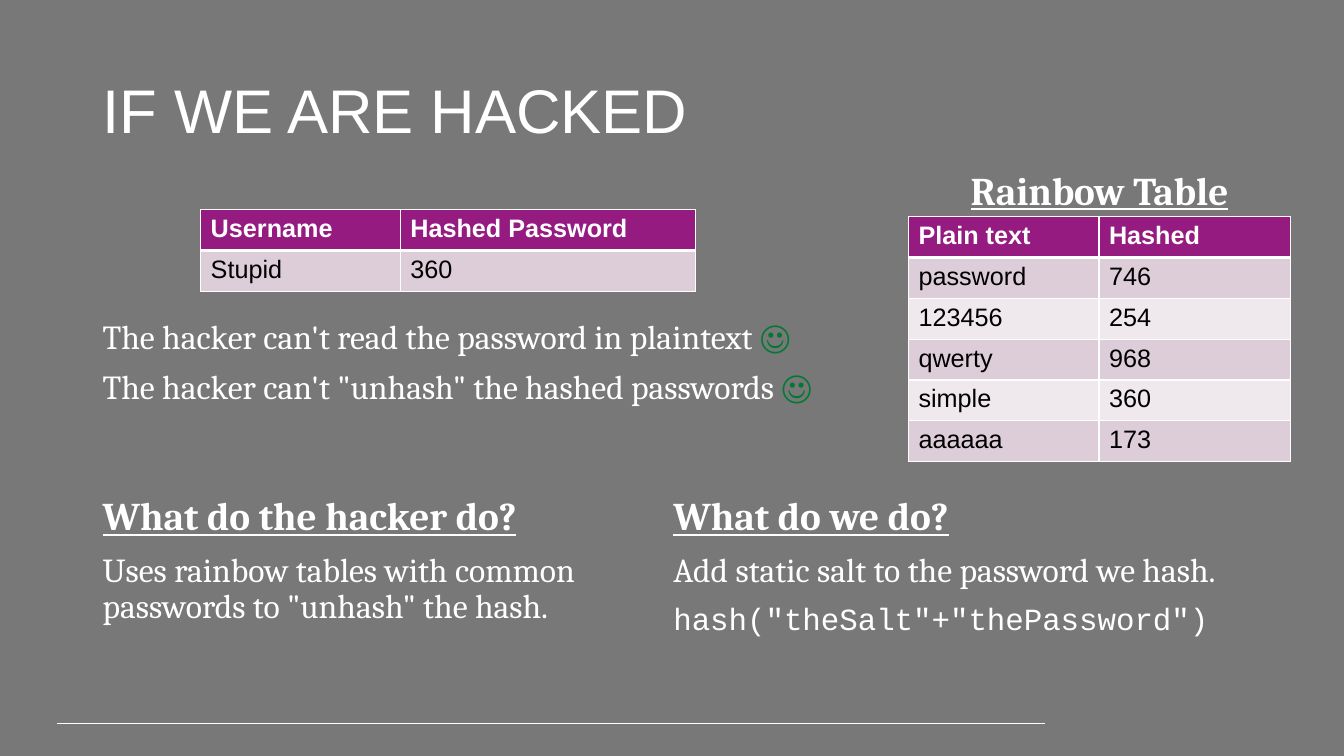
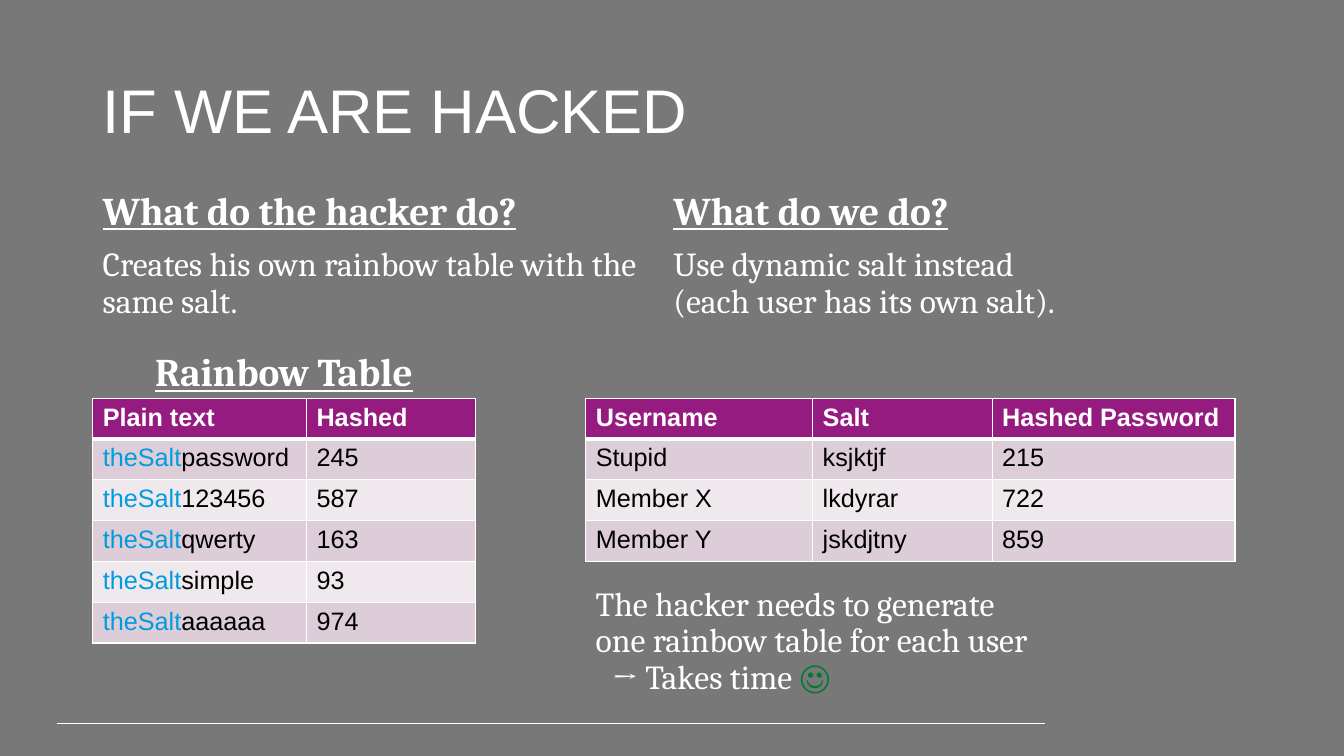
import pptx
import pptx.dml.color
import pptx.enum.shapes
import pptx.enum.text
import pptx.oxml
import pptx.oxml.ns
import pptx.util

inch = pptx.util.Inches
point = pptx.util.Pt
colour = pptx.dml.color.RGBColor.from_string

WHITE, BLACK, GREY = "FFFFFF", "000000", "787878"
PURPLE, GREEN, BLUE = "961B81", "007A33", "009CDE"
BANDS = ["DDCDD8", "EFE8ED"]
LEFT, RIGHT, TABLE_LEFT = 0.92, 6.58, 5.81
HALF, RAINBOW_WIDTH = 5.67, 3.79
RAINBOW_HEADER = ["Plain text", "Hashed"]

STYLES = {
    "title": dict(font="Arial", size=44),
    "heading": dict(font="Cambria", size=28, strong=True, before=10),
    "body": dict(font="Cambria", size=24, before=10),
    "step": dict(font="Cambria", size=24, indent=0.16),
    "code": dict(font="Courier New", size=22, before=10),
}


def add_text(page, area, paragraphs, align=None, anchor=None):
    box = page.shapes.add_textbox(*[inch(length) for length in area])
    frame = box.text_frame
    frame.word_wrap = True
    frame.vertical_anchor = anchor
    for index, (style_name, *runs) in enumerate(paragraphs):
        para = frame.add_paragraph() if index else frame.paragraphs[0]
        style = STYLES[style_name]
        para.alignment = align
        para.line_spacing = 0.9
        para.space_before = point(style.get("before", 0))
        para.font.name = style["font"]
        para.font.size = point(style["size"])
        para.font.bold = para.font.underline = style.get("strong", False)
        para.font.color.rgb = colour(WHITE)
        if "indent" in style:
            para._p.get_or_add_pPr().set("marL", str(inch(style["indent"])))
        for text, tint in runs:
            for number, line in enumerate(text.split("\n")):
                if number:
                    para.add_line_break()
                span = para.add_run()
                span.text = line
                span.font.color.rgb = colour(tint)


def add_grid(page, left, top, widths, rows, prefix=""):
    row_height = int(deck.slide_height * 0.054)
    table = page.shapes.add_table(
        len(rows), len(widths), inch(left), inch(top),
        inch(sum(widths)), row_height * len(rows)).table
    for column, width in zip(table.columns, widths):
        column.width = inch(width)
    for row_index, row in enumerate(rows):
        table.rows[row_index].height = row_height
        header = row_index == 0
        for column_index, text in enumerate(row):
            cell = table.cell(row_index, column_index)
            properties = cell._tc.get_or_add_tcPr()
            for side in "LRTB":
                thick = (row_index, side) in [(0, "B"), (1, "T")]
                properties.append(pptx.oxml.parse_xml(
                    f'<a:ln{side} {pptx.oxml.ns.nsdecls("a")} w="{point(3 if thick else 1)}">'
                    f'<a:solidFill><a:srgbClr val="{WHITE}"/></a:solidFill></a:ln{side}>'))
            cell.fill.solid()
            cell.fill.fore_color.rgb = colour(PURPLE if header else BANDS[(row_index - 1) % 2])
            para = cell.text_frame.paragraphs[0]
            para.font.name = "Arial"
            para.font.size = point(18)
            para.font.bold = header
            runs = [(text, WHITE if header else BLACK)]
            if prefix and not header and column_index == 0:
                runs.insert(0, (prefix, BLUE))
            for words, tint in runs:
                span = para.add_run()
                span.text = words
                span.font.bold = header
                span.font.color.rgb = colour(tint)


deck = pptx.Presentation()
deck.slide_width, deck.slide_height = inch(13.33), inch(7.5)
background = deck.slide_master.background.fill
background.solid()
background.fore_color.rgb = colour(GREY)

hacker_heading = ("heading", ("What do the hacker do?", WHITE))
our_heading = ("heading", ("What do we do?", WHITE))

slides = [
    dict(
        texts=[
            ((LEFT, 3.13, 8.1, 0.97), [
                ("body", ("The hacker can't read the password in plaintext ", WHITE), ("☺", GREEN)),
                ("body", ("The hacker can't \"unhash\" the hashed passwords", WHITE), (" ☺", GREEN)),
            ]),
            ((LEFT, 4.88, HALF, 1.39), [
                hacker_heading,
                ("body", ("Uses rainbow tables with common passwords to \"unhash\" the hash.", WHITE)),
            ]),
            ((RIGHT, 4.88, 6.22, 1.53), [
                our_heading,
                ("body", ("Add static salt to the password we hash.", WHITE)),
                ("code", ('hash("theSalt"+"thePassword")', WHITE)),
            ]),
        ],
        users=(1.99, 2.08, [1.98, 2.93], [["Username", "Hashed Password"], ["Stupid", "360"]]),
        rainbow=(9.01, 2.15, [1.89, 1.9], ["746", "254", "968", "360", "173"], ""),
    ),
    dict(
        texts=[
            ((LEFT, 1.85, HALF, 1.39), [
                hacker_heading,
                ("body", ("Creates his own rainbow table with the same salt.", WHITE)),
            ]),
            ((RIGHT, 1.85, HALF, 1.39), [
                our_heading,
                ("body", ("Use dynamic salt instead\n(each user has its own salt).", WHITE)),
            ]),
            ((TABLE_LEFT, 5.78, 6.44, 1.19), [
                ("body", ("The hacker needs to generate\none rainbow table for each user", WHITE)),
                ("step", ("→ Takes time ", WHITE), ("☺", GREEN)),
            ]),
        ],
        users=(TABLE_LEFT, 3.95, [2.25, 1.78, 2.41], [
            ["Username", "Salt", "Hashed Password"],
            ["Stupid", "ksjktjf", "215"],
            ["Member X", "lkdyrar", "722"],
            ["Member Y", "jskdjtny", "859"],
        ]),
        rainbow=(LEFT, 3.95, [2.12, 1.68], ["245", "587", "163", "93", "974"], "theSalt"),
    ),
]
passwords = ["password", "123456", "qwerty", "simple", "aaaaaa"]

for content in slides:
    page = deck.slides.add_slide(deck.slide_layouts[6])
    rule = page.shapes.add_connector(
        pptx.enum.shapes.MSO_CONNECTOR.STRAIGHT,
        inch(0.57), inch(7.18), inch(10.36), inch(7.18))
    rule.line.color.rgb = colour(WHITE)
    rule.line.width = point(0.75)
    rule._element.spPr.append(pptx.oxml.parse_xml(f'<a:effectLst {pptx.oxml.ns.nsdecls("a")}/>'))
    add_text(page, (LEFT, 0.4, 11.5, 1.45), [("title", ("IF WE ARE HACKED", WHITE))],
             anchor=pptx.enum.text.MSO_ANCHOR.MIDDLE)
    for area, paragraphs in content["texts"]:
        add_text(page, area, paragraphs)
    add_grid(page, *content["users"])
    left, top, widths, hashes, salt = content["rainbow"]
    add_grid(page, left, top, widths, [RAINBOW_HEADER, *zip(passwords, hashes)], salt)
    add_text(page, (left, top - 0.5, RAINBOW_WIDTH, 0.53),
             [("heading", ("Rainbow Table", WHITE))],
             align=pptx.enum.text.PP_ALIGN.CENTER)

deck.save("out.pptx")
